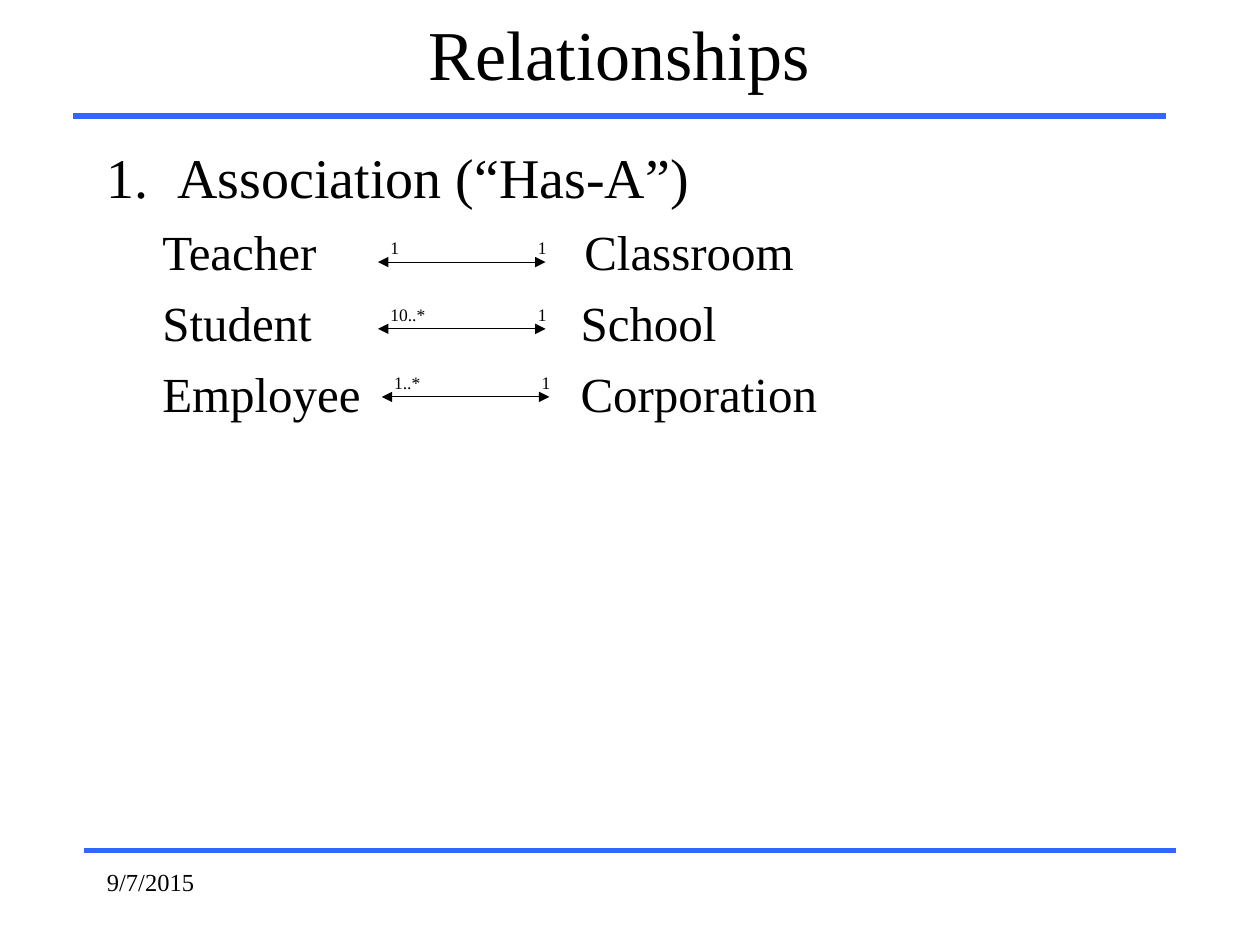
from lxml import etree
from pptx import Presentation
from pptx.dml.color import RGBColor
from pptx.enum.shapes import MSO_CONNECTOR
from pptx.enum.text import MSO_ANCHOR, MSO_AUTO_SIZE, PP_ALIGN
from pptx.oxml.ns import qn
from pptx.util import Inches, Pt

STRAIGHT = MSO_CONNECTOR.STRAIGHT
TOP, MIDDLE = MSO_ANCHOR.TOP, MSO_ANCHOR.MIDDLE
CENTER = PP_ALIGN.CENTER
FIT_SHAPE = MSO_AUTO_SIZE.SHAPE_TO_FIT_TEXT


def rgb(value):
    return RGBColor.from_string(value)


def add_xml(parent, tag, **attributes):
    return etree.SubElement(parent, qn(tag), attributes)


class Deck:
    font = "Times New Roman"
    ink = "000000"
    accent = "3366FF"

    def __init__(self, slide):
        self.slide = slide

    def style(self, paragraph, size):
        for run in paragraph.runs:
            run.font.name = self.font
            run.font.size = Pt(size)
            run.font.color.rgb = rgb(self.ink)

    def text(self, shapes, content, left, top, width, height, size, anchor=TOP):
        box = shapes.add_textbox(Inches(left), Inches(top), Inches(width), Inches(height))
        frame = box.text_frame
        frame.word_wrap = True
        frame.vertical_anchor = anchor
        frame.text = content
        for paragraph in frame.paragraphs:
            self.style(paragraph, size)
        return frame

    def line(self, shapes, left, right, y, color, weight):
        line = shapes.add_connector(STRAIGHT, Inches(left), Inches(y), Inches(right), Inches(y))
        line.line.color.rgb = rgb(color)
        line.line.width = Pt(weight)
        add_xml(line._element.spPr, "a:effectLst")
        return line

    def rule(self, left, right, y):
        self.line(self.slide.shapes, left, right, y, self.accent, 3)

    def indent(self, paragraph, margin, first_line=0):
        properties = paragraph._p.get_or_add_pPr()
        properties.set("marL", str(Inches(margin)))
        properties.set("indent", str(Inches(first_line)))
        return properties

    def numbered(self, paragraph, margin):
        properties = self.indent(paragraph, margin, -margin)
        add_xml(properties, "a:buFont", typeface=self.font)
        add_xml(properties, "a:buAutoNum", type="arabicPeriod")

    def row(self, paragraph, margin):
        paragraph.level = 1
        paragraph.space_before = Pt(7)
        self.style(paragraph, 28)
        add_xml(self.indent(paragraph, margin), "a:buNone")

    def association(self, left, y, start, start_width, end):
        shapes = self.slide.shapes.add_group_shape().shapes
        arrow = self.line(shapes, left, left + 1.33, y, self.ink, 0.5)
        outline = arrow.line._get_or_add_ln()
        for tag in ("a:headEnd", "a:tailEnd"):
            add_xml(outline, tag, type="triangle")
        for label, x, width in ((start, left, start_width), (end, left + 1.17, 0.33)):
            frame = self.text(shapes, label, x, y - 0.25, width, 0.27, 10, MIDDLE)
            frame.auto_size = FIT_SHAPE


def main():
    presentation = Presentation()
    presentation.slide_width, presentation.slide_height = Inches(10), Inches(7.5)
    slide = presentation.slides.add_slide(presentation.slide_layouts[6])
    deck = Deck(slide)

    # Rules above and below the content
    deck.rule(0.67, 9.33, 6.75)
    deck.rule(0.58, 9.25, 0.92)

    # Title
    title = deck.text(slide.shapes, "Relationships", 0.58, 0, 8.67, 0.83, 40, MIDDLE)
    title.paragraphs[0].alignment = CENTER

    # Numbered heading and the owning classes
    body = deck.text(slide.shapes, "Association (“Has-A”)", 0.75, 1.08, 8.5, 5.58, 32)
    heading = body.paragraphs[0]
    heading.space_before = Pt(8)
    deck.numbered(heading, 0.56)
    for owner in ("Teacher", "Student", "Employee"):
        row = body.add_paragraph()
        row.text = owner
        deck.row(row, 0.44)

    # Owned classes, level with their owners
    owned = deck.text(slide.shapes, "Classroom\nSchool\nCorporation", 4.51, 1.71, 4.74, 1.75, 28)
    for row, margin in zip(owned.paragraphs, (0.03, 0, 0)):
        deck.row(row, margin)
    owned.paragraphs[0].space_before = Pt(0)

    # Date
    deck.text(slide.shapes, "9/7/2015", 0.75, 6.83, 2.08, 0.5, 14)

    # Multiplicity arrows
    deck.association(3, 2.08, "1", 0.33, "1")
    deck.association(3, 2.61, "10..*", 0.58, "1")
    deck.association(3.03, 3.15, "1..*", 0.5, "1")

    presentation.save("out.pptx")


if __name__ == "__main__":
    main()
